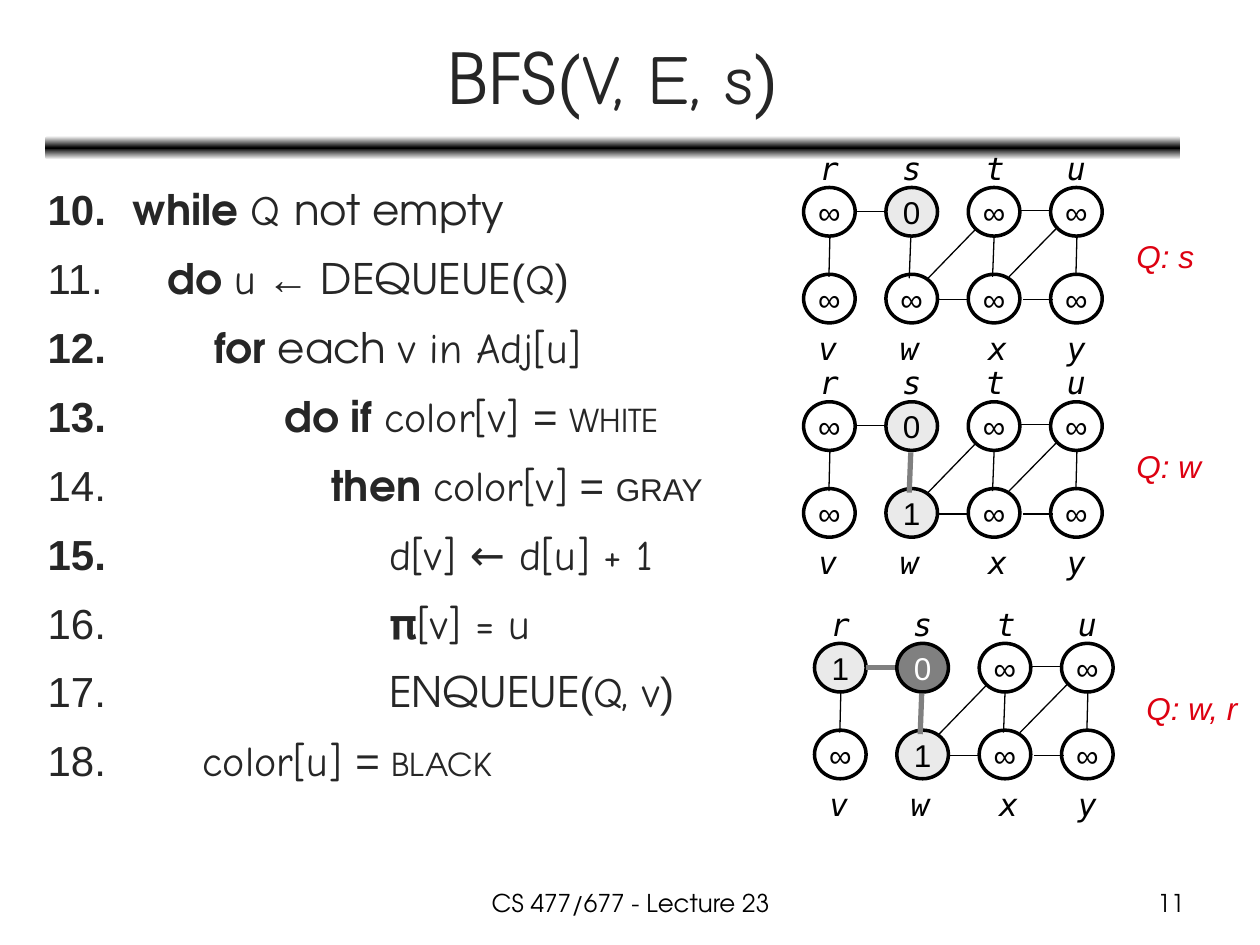
import copy

import lxml.etree
import pptx
import pptx.dml.color
import pptx.enum.shapes
import pptx.enum.text
import pptx.oxml.ns
import pptx.util

Cm = pptx.util.Cm
Pt = pptx.util.Pt
ALIGN = pptx.enum.text.PP_ALIGN
MIDDLE = pptx.enum.text.MSO_ANCHOR.MIDDLE
SHAPE = pptx.enum.shapes.MSO_SHAPE
qn = pptx.oxml.ns.qn

COLORS = {"ink": "262626", "black": "000000", "white": "FFFFFF",
          "queue": "DD0111", "visited": "EAEAEA", "done": "808080"}
SANS, HAND, HEAD, MONO = "Arial", "Comic Neue", "TeX Gyre Adventor", "DejaVu Sans Mono"


def rgb(name):
    return pptx.dml.color.RGBColor.from_string(COLORS[name])


class LectureSlide:
    node_width, node_height = 1.04, 0.98
    column_step, row_step = 1.66, 1.75

    def __init__(self, deck):
        self.slide = deck.slides.add_slide(deck.slide_layouts[5])
        self.shapes = self.slide.shapes

    def run(self, paragraph, text, font, size, color, bold=False, italic=False):
        run = paragraph.add_run()
        run.text = text
        run.font.name, run.font.size = font, Pt(size)
        run.font.bold, run.font.italic = bold, italic
        run.font.color.rgb = rgb(color)

    def title(self, box, runs):
        title = self.shapes.title
        title.left, title.top, title.width, title.height = map(Cm, box)
        title.text_frame.vertical_anchor = MIDDLE
        paragraph = title.text_frame.paragraphs[0]
        paragraph.alignment = ALIGN.CENTER
        for text, font in runs:
            self.run(paragraph, text, font, 40, "ink")

    def bar(self, box, colors):
        bar = self.shapes.add_shape(SHAPE.ROUNDED_RECTANGLE, *map(Cm, box))
        bar.shadow.inherit = False
        bar.line.fill.background()
        bar.fill.gradient()
        bar.fill.gradient_angle = 90
        stop_list = next(bar._element.spPr.iter(qn("a:gsLst")))
        stop_list.append(copy.deepcopy(stop_list[-1]))
        for index, (stop, color) in enumerate(zip(bar.fill.gradient_stops, colors)):
            stop.position = index / (len(colors) - 1)
            stop.color.rgb = rgb(color)

    def text(self, box, text, font, size, color="black", italic=False,
             align=ALIGN.LEFT, wrap=False, shapes=None):
        frame = (shapes or self.shapes).add_textbox(*map(Cm, box)).text_frame
        frame.word_wrap = wrap
        paragraph = frame.paragraphs[0]
        paragraph.alignment = align
        self.run(paragraph, text, font, size, color, italic=italic)

    def code(self, box, lines, start):
        frame = self.shapes.add_textbox(*map(Cm, box)).text_frame
        frame.word_wrap = True
        for index, runs in enumerate(lines):
            paragraph = frame.add_paragraph() if index else frame.paragraphs[0]
            paragraph.line_spacing = 1.2
            if index:
                paragraph.space_before = Pt(4.8)
            properties = paragraph._p.get_or_add_pPr()
            properties.set("marL", str(Cm(1.48)))
            properties.set("indent", str(-Cm(1.48)))
            lxml.etree.SubElement(properties, qn("a:buFont"), typeface="+mj-lt")
            lxml.etree.SubElement(properties, qn("a:buAutoNum"),
                                  type="arabicPeriod", startAt=str(start))
            for text, font, bold, size in runs:
                self.run(paragraph, text, font, size, "ink", bold)

    def node(self, shapes, left, top, value, fill):
        node = shapes.add_shape(SHAPE.OVAL, Cm(left), Cm(top),
                                Cm(self.node_width), Cm(self.node_height))
        node.shadow.inherit = False
        if fill:
            node.fill.solid()
            node.fill.fore_color.rgb = rgb(fill)
        else:
            node.fill.background()
        node.line.color.rgb = rgb("black")
        node.line.width = Pt(2)
        frame = node.text_frame
        frame.word_wrap = False
        frame.vertical_anchor = MIDDLE
        frame.paragraphs[0].alignment = ALIGN.CENTER
        self.run(frame.paragraphs[0], value, SANS, 18, "white" if fill == "done" else "black")

    def edge(self, shapes, ends, tree_edge):
        edge = shapes.add_connector(pptx.enum.shapes.MSO_CONNECTOR.STRAIGHT, *map(Cm, ends))
        edge.line.color.rgb = rgb("done" if tree_edge else "black")
        edge.line.width = Pt(3 if tree_edge else 0.75)
        lxml.etree.SubElement(edge._element.spPr, qn("a:effectLst"))

    def graph(self, left, top, reached, tree_edges):
        shapes = self.shapes.add_group_shape().shapes
        for row, (labels, label_top) in enumerate(VERTICES):
            for column, (name, offset, width) in enumerate(labels):
                x = left + column * self.column_step
                value, fill = reached.get(name, ("∞", None))
                self.node(shapes, x, top + row * self.row_step, value, fill)
                self.text((x + offset, top + label_top, width, 1.02), name,
                          MONO, 18, italic=True, shapes=shapes)
        for name, (x1, y1, x2, y2) in EDGES.items():
            self.edge(shapes, (left + x1, top + y1, left + x2, top + y2), name in tree_edges)


VERTICES = [
    ([("r", 0.08, 0.71), ("s", 0.08, 0.71), ("t", 0.1, 0.71), ("u", 0.08, 0.81)], -0.9),
    ([("v", 0.05, 0.79), ("w", 0.03, 0.94), ("x", 0.15, 0.79), ("y", 0.08, 0.76)], 2.73),
]
EDGES = {
    "rv": (0.53, 0.99, 0.51, 1.8), "sw": (2.16, 1.02, 2.13, 1.83),
    "tx": (3.84, 0.99, 3.81, 1.8), "uy": (5.51, 0.97, 5.49, 1.78),
    "rs": (1.04, 0.48, 1.63, 0.48), "wx": (2.74, 2.26, 3.33, 2.26),
    "tu": (4.39, 0.46, 5, 0.46), "xy": (4.42, 2.26, 5.03, 2.26),
    "wt": (2.49, 1.85, 3.45, 0.86), "xu": (4.14, 1.8, 5.11, 0.81),
}
GRAPHS = [
    (16.2, 3.78, {"s": ("0", "visited")}, ()),
    (16.2, 8.1, {"s": ("0", "visited"), "w": ("1", "visited")}, ("sw",)),
    (16.42, 12.97, {"r": ("1", "visited"), "s": ("0", "done"), "w": ("1", "visited")},
     ("sw", "rs")),
]
QUEUES = [(22.66, 4.65, 1.68, "Q: s"), (22.66, 8.89, 1.83, "Q: w"), (22.86, 13.77, 2.39, "Q: w, r")]


def indent(count, bold=False):
    return " " * count, SANS, bold, 24


def keyword(text):
    return text, HEAD, True, 24


def word(text, size=24):
    return text, HEAD, False, size


def variable(text):
    return text, HAND, False, 24


def plain(text, size=24):
    return text, SANS, False, size


CODE = [
    [indent(1, True), keyword("while "), variable("Q "), word("not empty")],
    [indent(4), keyword("do "), variable("u"), plain(" ← "), word("DEQUEUE"),
     plain("("), variable("Q"), plain(")")],
    [indent(8, True), keyword("for "), word("each "), variable("v in Adj[u]")],
    [indent(14, True), keyword("do if "), variable("color[v] "), plain("= "), word("WHITE", 18)],
    [indent(18), keyword("then "), variable("color[v]"), plain(" = "), plain("GRAY", 18)],
    [indent(23, True), variable("d[v] ← d[u] + 1")],
    [indent(23), variable("𝛑[v] = u")],
    [indent(23), word("ENQUEUE"), plain("("), variable("Q, v"), plain(")")],
    [indent(7), variable("color[u] "), plain("= "), word("BLACK", 18)],
]


def main():
    deck = pptx.Presentation()
    deck.slide_width, deck.slide_height = Cm(25.4), Cm(19.05)
    lecture = LectureSlide(deck)
    lecture.bar((0.91, 2.74, 22.89, 0.48), ("white", "black", "white"))
    lecture.title((0.94, 0.28, 22.86, 2.51), [("BFS(", HEAD), ("V, E, s", HAND), (")", HEAD)])
    lecture.code((0.71, 3.38, 14.2, 14.1), CODE, 10)
    for graph in GRAPHS:
        lecture.graph(*graph)
    for left, top, width, queue in QUEUES:
        lecture.text((left, top, width, 1.02), queue, SANS, 18, "queue", italic=True)
    lecture.text((8.69, 17.78, 8.05, 0.89), "CS 477/677 - Lecture 23", HEAD, 14,
                 align=ALIGN.CENTER, wrap=True)
    lecture.text((18.21, 17.78, 5.92, 0.89), "11", HEAD, 14, align=ALIGN.RIGHT, wrap=True)
    deck.save("out.pptx")


if __name__ == "__main__":
    main()
